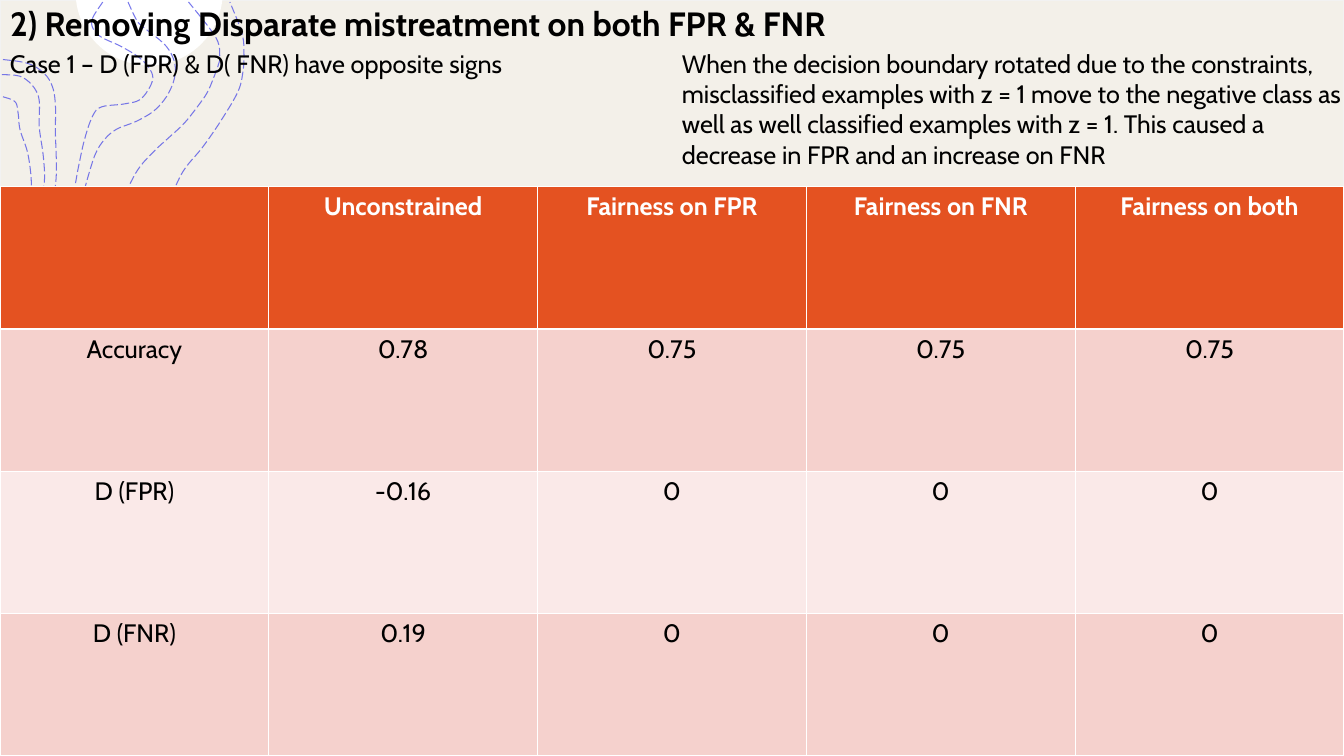
import math

from lxml import etree
from pptx import Presentation
from pptx import util as u
from pptx.dml.color import RGBColor
from pptx.enum import dml, shapes, text
from pptx.oxml import ns

WIDTH, HEIGHT = u.Inches(13.33), u.Inches(7.5)
COLUMN = WIDTH / 5
TABLE_TOP = u.Inches(1.85)
ROW = (HEIGHT - TABLE_TOP) / 4
SAND, ORANGE, PINK, PALE = "F3F0E9", "E45221", "F5D1CD", "FAE9E8"
WHITE, BLACK, VIOLET, MIST = "FFFFFF", "000000", "4D4EE6", "F2F2F2"

TITLE = "2) Removing Disparate mistreatment on both FPR & FNR"
CASE = "Case 1 – D (FPR) & D( FNR) have opposite signs"
EXPLANATION = (
    "When the decision boundary rotated due to the constraints, misclassified "
    "examples with z = 1 move to the negative class as well as well classified "
    "examples with z = 1. This caused a decrease in FPR and an increase on FNR")
RESULTS = [
    ["", "Unconstrained", "Fairness on FPR", "Fairness on FNR", "Fairness on both"],
    ["Accuracy", "0.78", "0.75", "0.75", "0.75"],
    ["D (FPR)", "-0.16", "0", "0", "0"],
    ["D (FNR)", "0.19", "0", "0", "0"],
]
CONTOURS = [
    [(.02, 3.66), (.2, 3.52), (.55, 3.19), (.66, 3.05), (.86, 2.9), (1.11, 2.77),
     (1.27, 2.69), (1.41, 2.54), (1.6, 2.23), (1.67, 2.03), (1.81, 1.71), (2.01, 1.46),
     (2.19, 1.2), (2.36, .91), (2.41, .71), (2.42, .53), (2.4, .33), (2.28, .02)],
    [(.01, 3.38), (.21, 3.17), (.38, 2.96), (.64, 2.69), (.88, 2.44), (1.08, 2.19),
     (1.22, 1.96), (1.37, 1.68), (1.54, 1.49), (1.67, 1.37), (1.83, 1.22), (1.98, 1.03),
     (2.06, .91), (2.12, .77), (2.17, .63), (2.18, .56), (2.14, .37), (1.87, .02)],
    [(1.27, .02), (1.35, .19), (1.41, .26), (1.65, .46), (1.74, .67), (1.69, .89),
     (1.55, 1.08), (1.36, 1.2), (1.16, 1.28), (1.04, 1.38), (.95, 1.52), (.88, 1.73),
     (.78, 2.08), (.69, 2.26), (.42, 2.61), (.28, 2.76), (.03, 3.01)],
    [(.01, 2.91), (.35, 2.57), (.56, 2.32), (.7, 2.04), (.78, 1.65), (.84, 1.38),
     (.92, 1.15), (1.01, 1.06), (1.24, 1.03), (1.4, .98), (1.51, .81), (1.49, .69),
     (1.38, .57), (1.2, .46), (.98, .35), (.91, .21), (1.02, .02)],
    [(.03, .59), (.28, .63), (.44, .73), (.52, .86), (.55, 1.04), (.55, 1.32),
     (.56, 1.68), (.54, 1.9), (.48, 2.1), (.31, 2.39), (.02, 2.68)],
    [(.02, .74), (.23, .77), (.38, .95), (.39, 1.26), (.43, 1.55), (.44, 1.81),
     (.38, 2.09), (.22, 2.37), (.01, 2.58)],
    [(.03, .96), (.15, 1.01), (.18, 1.12), (.2, 1.29), (.28, 1.54), (.31, 1.89),
     (.23, 2.17), (.14, 2.3), (.03, 2.43)],
]


def colour(hex_code):
    """Turn a hex string into a colour."""
    return RGBColor.from_string(hex_code)


def apply(target, formats):
    """Set every attribute named in formats on target."""
    for attribute, setting in formats.items():
        setattr(target, attribute, setting)


def paint(part, hex_code):
    """Give a shape or cell a solid fill."""
    part.fill.solid()
    part.fill.fore_color.rgb = colour(hex_code)


def write(frame, wording, size, ink=BLACK, bold=False, align=text.PP_ALIGN.LEFT):
    """Put one formatted paragraph into a text frame."""
    line = frame.paragraphs[0]
    line.alignment = align
    if wording:
        run = line.add_run()
        run.text = wording
        apply(run.font, {"name": "Cabin", "size": u.Pt(size), "bold": bold})
        run.font.color.rgb = colour(ink)


def place_text(box, left, top, width, height, wording, size, bold=False):
    """Position a text shape and write its wording."""
    apply(box, {"left": int(left), "top": int(top),
                "width": int(width), "height": int(height)})
    apply(box.text_frame, {"word_wrap": True,
                           "vertical_anchor": text.MSO_ANCHOR.TOP,
                           "auto_size": text.MSO_AUTO_SIZE.SHAPE_TO_FIT_TEXT})
    write(box.text_frame, wording, size, bold=bold)


def smooth(points, steps=6):
    """Interpolate a Catmull-Rom curve through the points."""
    padded = [points[0], *points, points[-1]]
    curve = [points[0]]
    for a, b, c, d in zip(padded, padded[1:], padded[2:], padded[3:]):
        for t in (step / steps for step in range(1, steps + 1)):
            curve.append(tuple(
                (2 * q + (r - p) * t + (2 * p - 5 * q + 4 * r - s) * t ** 2
                 + (3 * q - p - 3 * r + s) * t ** 3) / 2
                for p, q, r, s in zip(a, b, c, d)))
    return curve


def draw_outline(slide, points, close):
    """Draw a freeform through points given in inches."""
    start, *rest = [(u.Inches(x), u.Inches(y)) for x, y in points]
    builder = slide.shapes.build_freeform(*start, scale=1.0)
    builder.add_line_segments(rest, close=close)
    outline = builder.convert_to_shape()
    outline.shadow.inherit = False
    return outline


def add_backdrop(slide):
    """Cover the slide with a thinly framed sand panel."""
    backdrop = slide.shapes.add_shape(
        shapes.MSO_SHAPE.RECTANGLE, 0, 0, WIDTH, HEIGHT)
    backdrop.shadow.inherit = False
    paint(backdrop, SAND)
    backdrop.line.color.rgb = colour(MIST)
    backdrop.line.width = u.Pt(1)


def add_half_disc(slide):
    """Draw the white disc cut off by the top edge."""
    radius, rise, steps = 0.73, 0.08, 40
    first = math.asin(rise / radius)
    angles = [first + (math.pi - 2 * first) * i / steps for i in range(steps + 1)]
    disc = draw_outline(slide, [(1.48 + radius * math.cos(a),
                                 radius * math.sin(a) - rise) for a in angles], True)
    paint(disc, WHITE)
    disc.line.fill.background()


def add_contour(slide, points):
    """Draw one translucent dashed contour line."""
    contour = draw_outline(slide, smooth(points), False)
    contour.fill.background()
    contour.line.color.rgb = colour(VIOLET)
    apply(contour.line, {"width": u.Pt(0.75),
                         "dash_style": dml.MSO_LINE.LONG_DASH})
    shade = contour.line._get_or_add_ln().find(".//" + ns.qn("a:srgbClr"))
    etree.SubElement(shade, ns.qn("a:alpha"), val="75000")


def add_borders(cell, bottom):
    """Give a cell white borders, with its own bottom width in points."""
    properties = cell._tc.get_or_add_tcPr()
    for side, points in {"L": 1, "R": 1, "T": 1, "B": bottom}.items():
        edge = etree.SubElement(properties, ns.qn(f"a:ln{side}"), w=str(u.Pt(points)))
        ink = etree.SubElement(edge, ns.qn("a:solidFill"))
        etree.SubElement(ink, ns.qn("a:srgbClr"), val=WHITE)


def add_results(slide):
    """Build the table of fairness results."""
    results = slide.shapes.add_table(
        len(RESULTS), len(RESULTS[0]), 0, TABLE_TOP, WIDTH, HEIGHT - TABLE_TOP).table
    for column in results.columns:
        column.width = int(COLUMN)
    for r, measures in enumerate(RESULTS):
        results.rows[r].height = int(ROW)
        header = r == 0
        for c, measure in enumerate(measures):
            cell = results.cell(r, c)
            add_borders(cell, 2 if header else 1)
            paint(cell, (ORANGE, PINK, PALE, PINK)[r])
            write(cell.text_frame, measure, 18, WHITE if header else BLACK,
                  header, text.PP_ALIGN.CENTER)


def main():
    """Build and save the slide."""
    deck = Presentation()
    apply(deck, {"slide_width": WIDTH, "slide_height": HEIGHT})
    slide = deck.slides.add_slide(deck.slide_layouts[5])
    add_backdrop(slide)
    add_half_disc(slide)
    for points in CONTOURS:
        add_contour(slide, points)

    heading = slide.shapes.title
    slide.shapes._spTree.append(heading._element)
    place_text(heading, 0, u.Inches(-0.02), 0.7 * WIDTH, u.Inches(0.5), TITLE, 24, True)
    for left, width, height, wording in (
            (0, u.Inches(5.51), u.Inches(0.4), CASE),
            (WIDTH / 2, u.Inches(6.74), u.Inches(1.31), EXPLANATION)):
        note = slide.shapes.add_textbox(0, 0, 0, 0)
        place_text(note, left, u.Inches(0.43), width, height, wording, 18)
    add_results(slide)
    deck.save("out.pptx")


if __name__ == "__main__":
    main()
